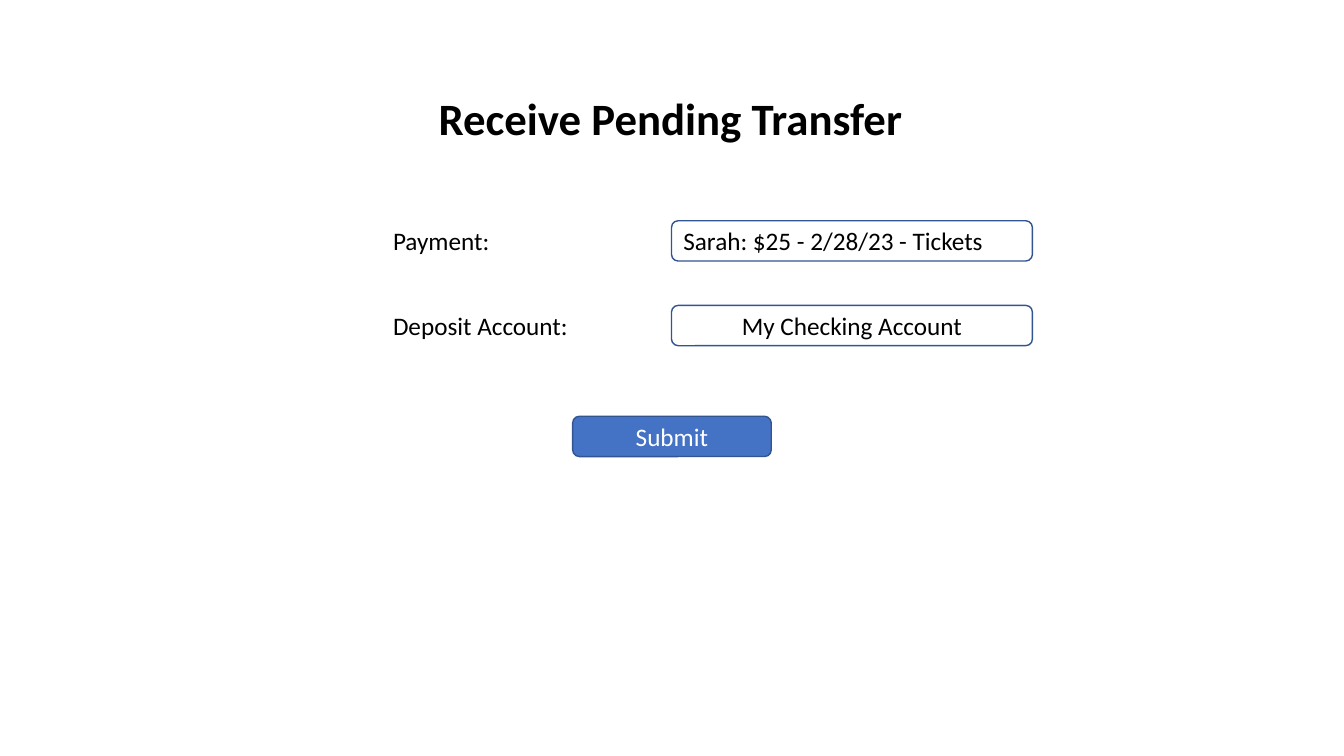
import pptx
import pptx.util
import pptx.dml.color
import pptx.enum.shapes
import pptx.enum.text
from dataclasses import dataclass

Inches = pptx.util.Inches
Align = pptx.enum.text.PP_ALIGN
Anchor = pptx.enum.text.MSO_ANCHOR
Fit = pptx.enum.text.MSO_AUTO_SIZE


@dataclass
class Theme:
    font: str = "Calibri"
    head: int = 32
    body: int = 18
    dark: str = "000000"
    light: str = "FFFFFF"
    fill: str = "4472C4"
    edge: str = "325491"


def rgb(code):
    return pptx.dml.color.RGBColor.from_string(code)


class Form:
    def __init__(self, slide, theme):
        self.slide = slide
        self.theme = theme

    def style(self, shape, text, size, color, align=Align.LEFT, bold=False):
        shape.text_frame.text = text
        line = shape.text_frame.paragraphs[0]
        line.alignment = align
        font = line.runs[0].font
        font.name = self.theme.font
        font.size = pptx.util.Pt(size)
        font.bold = bold
        font.color.rgb = rgb(color)

    def hug(self, shape):
        frame = shape.text_frame
        frame.word_wrap = False
        frame.auto_size = Fit.SHAPE_TO_FIT_TEXT
        frame.vertical_anchor = Anchor.TOP

    def title(self, text, left, top, width, height):
        shape = self.slide.shapes.title
        shape.left, shape.top = Inches(left), Inches(top)
        shape.width, shape.height = Inches(width), Inches(height)
        self.style(shape, text, self.theme.head, self.theme.dark, bold=True)
        self.hug(shape)

    def label(self, text, left, top, width, height):
        shape = self.slide.shapes.add_textbox(
            Inches(left), Inches(top), Inches(width), Inches(height))
        self.style(shape, text, self.theme.body, self.theme.dark)
        self.hug(shape)

    def box(self, text, left, top, width, height, align=Align.CENTER, fill=None):
        shape = self.slide.shapes.add_shape(
            pptx.enum.shapes.MSO_SHAPE.ROUNDED_RECTANGLE,
            Inches(left), Inches(top), Inches(width), Inches(height))
        shape.shadow.inherit = False
        if fill:
            shape.fill.solid()
            shape.fill.fore_color.rgb = rgb(fill)
        else:
            shape.fill.background()
        shape.line.color.rgb = rgb(self.theme.edge)
        shape.line.width = pptx.util.Pt(1)
        shape.text_frame.word_wrap = True
        shape.text_frame.vertical_anchor = Anchor.MIDDLE
        color = self.theme.light if fill else self.theme.dark
        self.style(shape, text, self.theme.body, color, align)


def main():
    deck = pptx.Presentation()
    deck.slide_width, deck.slide_height = Inches(13.33), Inches(7.5)
    theme = Theme()
    form = Form(deck.slides.add_slide(deck.slide_layouts[5]), theme)

    # Heading
    form.title("Receive Pending Transfer", 4.25, 0.85, 4.84, 0.64)

    # Field rows: label, label width, value, alignment
    rows = [
        ("Payment:", 1.17, "Sarah: $25 - 2/28/23 - Tickets", Align.LEFT),
        ("Deposit Account:", 1.96, "My Checking Account", Align.CENTER),
    ]
    high = 0.4
    for i, (name, width, value, align) in enumerate(rows):
        top = 2.19 + i * 0.84
        form.label(name, 3.8, top, width, high)
        form.box(value, 6.66, top, 3.58, high, align)

    # Button
    form.box("Submit", 5.68, 4.13, 1.97, high, fill=theme.fill)

    deck.save("out.pptx")


if __name__ == "__main__":
    main()
